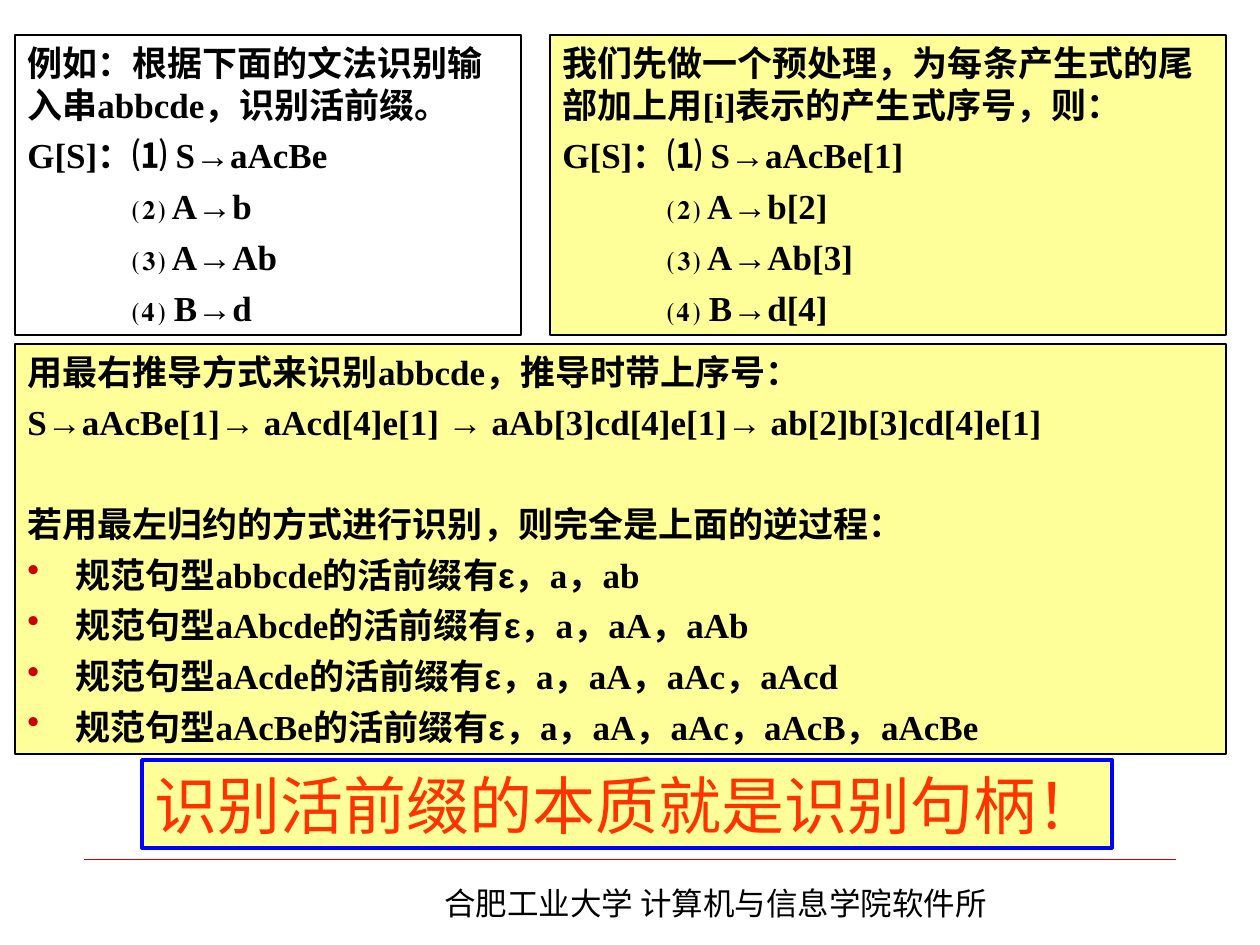
from dataclasses import dataclass

from lxml.etree import SubElement
from pptx import Presentation
from pptx.dml.color import RGBColor
from pptx.enum.shapes import MSO_CONNECTOR as Connector, MSO_SHAPE as Shape
from pptx.enum.text import MSO_ANCHOR as Anchor, MSO_AUTO_SIZE as AutoSize, PP_ALIGN as Align
from pptx.oxml.ns import qn
from pptx.slide import Slide
from pptx.util import Emu, Pt

EMU_PER_PX = 914400 / 126
COLORS = {"ink": "000000", "cream": "FFFF99", "red": "CC0000",
          "blue": "0000FF", "orange": "FF3300"}
SERIF, SANS, CJK = "Times New Roman", "Arial", "Noto Sans CJK SC"
RULE_INDENT, HANGING = 105, 48
GAP, SECTION_GAP = 5, 34


@dataclass(frozen=True)
class Line:
    text: str
    left: int = 0
    hang: int = 0
    before: int = GAP
    bullet: bool = False
    align: Align = Align.LEFT


@dataclass(frozen=True)
class Style:
    size: int = 20
    face: str = SERIF
    color: str = "ink"
    bold: bool = True


@dataclass(frozen=True)
class Panel:
    left: int
    top: int
    width: int
    height: int
    lines: tuple[Line, ...]
    fill: str | None = "cream"
    border: str | None = "ink"
    weight: float = 0.75
    style: Style = Style()
    wrap: bool = True


def px(length: int) -> Emu:
    return Emu(round(length * EMU_PER_PX))


def rgb(name: str) -> RGBColor:
    return RGBColor.from_string(COLORS[name])


def set_all(target, values: dict) -> None:
    for name, value in values.items():
        setattr(target, name, value)


def add_span(para, text: str, style: Style) -> None:
    span = para.add_run()
    span.text = text
    set_all(span.font, {"size": Pt(style.size), "bold": style.bold,
                        "name": SANS if text == "ε" else style.face})
    span.font.color.rgb = rgb(style.color)
    SubElement(span.font._element, qn("a:ea"), typeface=CJK)


def write_line(para, line: Line, style: Style, first: bool) -> None:
    set_all(para, {"alignment": line.align, "line_spacing": Pt(round(style.size * 1.2, 1)),
                   "space_before": Pt(0 if first else line.before)})
    props = para._p.get_or_add_pPr()
    props.set("marL", str(px(line.left)))
    props.set("indent", str(-px(line.hang)))
    if line.bullet:
        color = SubElement(props, qn("a:buClr"))
        SubElement(color, qn("a:srgbClr"), val=COLORS["red"])
        SubElement(props, qn("a:buChar"), char="•")
    else:
        SubElement(props, qn("a:buNone"))
    # The epsilon is set in its own typeface.
    for part in filter(None, line.text.partition("ε")):
        add_span(para, part, style)


def draw_panel(page: Slide, panel: Panel) -> None:
    place = [px(n) for n in (panel.left, panel.top, panel.width, panel.height)]
    if panel.border:
        box = page.shapes.add_shape(Shape.RECTANGLE, *place)
        box.shadow.inherit = False
        box.line.color.rgb = rgb(panel.border)
        box.line.width = Pt(panel.weight)
    else:
        box = page.shapes.add_textbox(*place)
    if panel.fill:
        box.fill.solid()
        box.fill.fore_color.rgb = rgb(panel.fill)
    else:
        box.fill.background()
    frame = box.text_frame
    set_all(frame, {"word_wrap": panel.wrap, "vertical_anchor": Anchor.TOP,
                    "auto_size": AutoSize.SHAPE_TO_FIT_TEXT})
    for index, line in enumerate(panel.lines):
        para = frame.add_paragraph() if index else frame.paragraphs[0]
        write_line(para, line, panel.style, index == 0)


def draw_footer_rule(page: Slide) -> None:
    rule = page.shapes.add_connector(Connector.STRAIGHT, px(84), px(859), px(1176), px(859))
    rule.line.color.rgb = rgb("red")
    rule.line.width = Pt(0.25)
    SubElement(rule._element.spPr, qn("a:effectLst"))


def grammar(intro: str, first: str, *rules: str) -> tuple[Line, ...]:
    return (Line(intro), Line(f"G[S]：⑴ {first}"),
            *(Line(f"{mark} {rule}", left=RULE_INDENT, align=Align.JUSTIFY)
              for mark, rule in zip("⑵⑶⑷", rules)))


def prefix_line(form: str, *prefixes: str) -> Line:
    """List the viable prefixes of a sentential form as a bullet."""
    text = "，".join((f"规范句型{form}的活前缀有ε", *prefixes))
    return Line(text, left=HANGING, hang=HANGING, bullet=True)


DERIVATION = (
    Line("用最右推导方式来识别abbcde，推导时带上序号：", HANGING, HANGING),
    Line("S→aAcBe[1]→ aAcd[4]e[1] → aAb[3]cd[4]e[1]→ ab[2]b[3]cd[4]e[1]", HANGING, HANGING),
    Line("若用最左归约的方式进行识别，则完全是上面的逆过程：", HANGING, HANGING, SECTION_GAP),
    prefix_line("abbcde", "a", "ab"),
    prefix_line("aAbcde", "a", "aA", "aAb"),
    prefix_line("aAcde", "a", "aA", "aAc", "aAcd"),
    prefix_line("aAcBe", "a", "aA", "aAc", "aAcB", "aAcBe"),
)

PANELS = (
    Panel(432, 878, 605, 50, (Line("合肥工业大学 计算机与信息学院软件所"),),
          fill=None, border=None, style=Style(18, CJK, bold=False)),
    Panel(15, 35, 506, 300, grammar("例如：根据下面的文法识别输入串abbcde，识别活前缀。",
                                    "S→aAcBe", "A→b", "A→Ab", "B→d"), fill=None),
    Panel(550, 35, 676, 300,
          grammar("我们先做一个预处理，为每条产生式的尾部加上用[i]表示的产生式序号，则：",
                  "S→aAcBe[1]", "A→b[2]", "A→Ab[3]", "B→d[4]")),
    Panel(15, 344, 1211, 410, DERIVATION),
    Panel(142, 760, 970, 88, (Line("识别活前缀的本质就是识别句柄！", align=Align.CENTER),),
          border="blue", weight=2, style=Style(36, SANS, "orange", False), wrap=False),
)


def main() -> None:
    deck = Presentation()
    set_all(deck, {"slide_width": px(1260), "slide_height": px(945)})
    page = deck.slides.add_slide(deck.slide_layouts[6])
    draw_footer_rule(page)
    for panel in PANELS:
        draw_panel(page, panel)
    deck.save("out.pptx")


if __name__ == "__main__":
    main()
